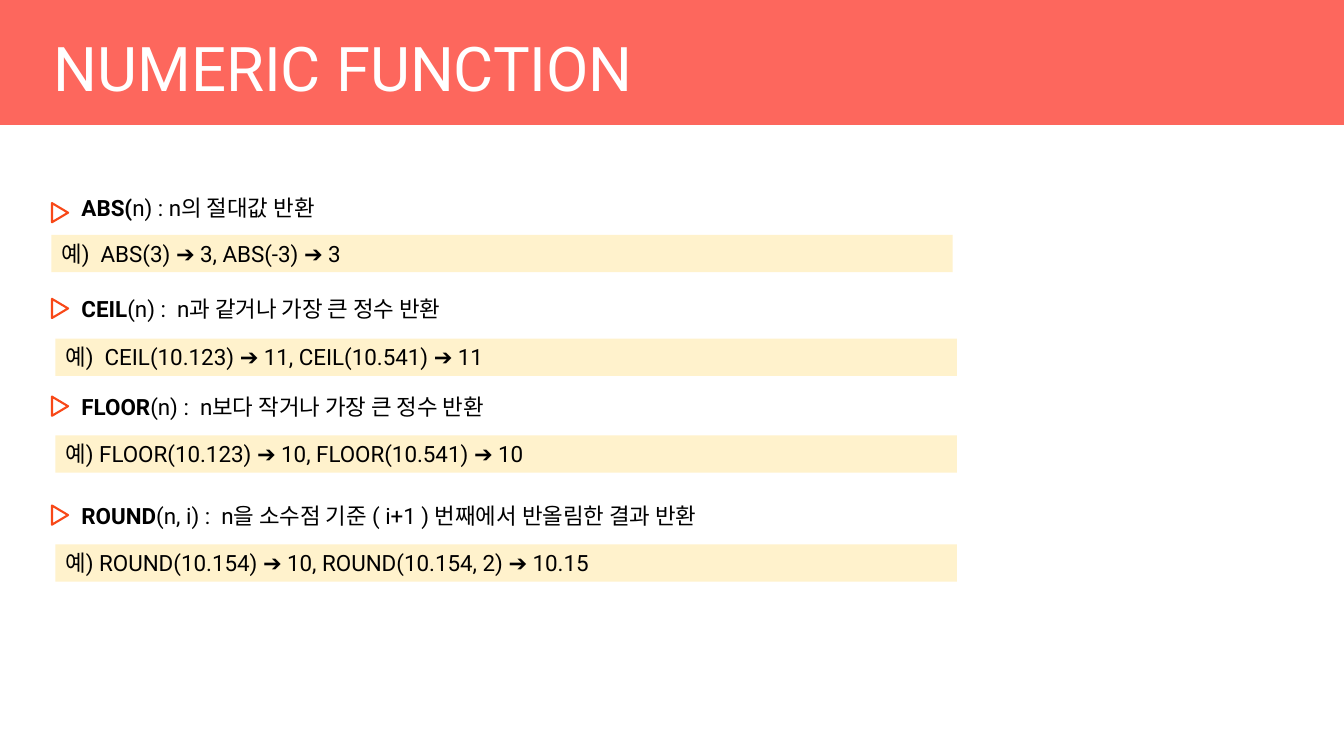
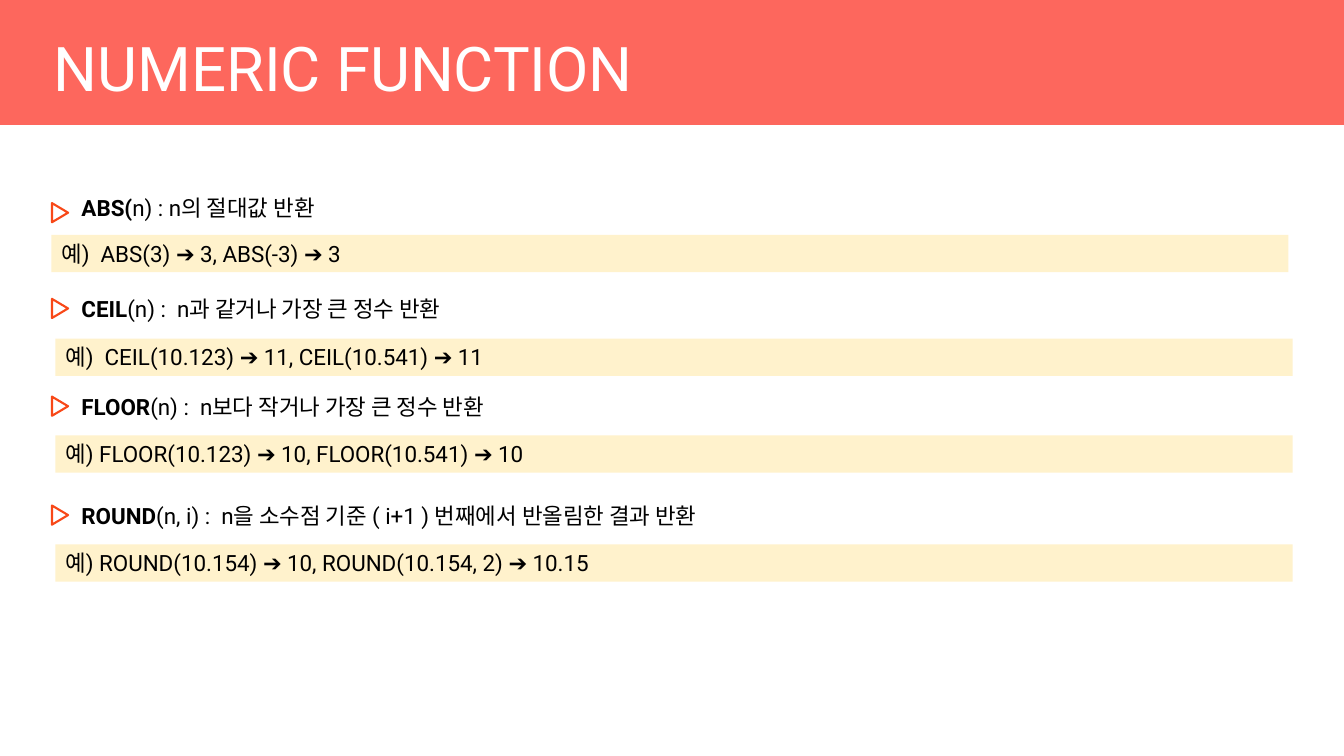
from collections import namedtuple
from dataclasses import dataclass

from pptx import Presentation
from pptx.dml.color import RGBColor as RGB
from pptx.enum.shapes import MSO_SHAPE as SHAPE
from pptx.enum.text import MSO_ANCHOR as ANCHOR, MSO_AUTO_SIZE as AUTO, PP_ALIGN as ALIGN
from pptx.util import Pt

PX = 9144
WIDTH, HEIGHT = 1333, 750


def px(*lengths):
    return [n * PX for n in lengths]


@dataclass(frozen=True)
class Theme:
    font: str = "Roboto"
    band: RGB = RGB.from_string("FD675D")
    example: RGB = RGB.from_string("FFF2CC")
    marker: RGB = RGB.from_string("F84818")
    white: RGB = RGB.from_string("FFFFFF")
    text: RGB = RGB.from_string("000000")
    title_size: int = 44
    body_size: int = 16
    marker_line: float = 1.5


Entry = namedtuple("Entry", "top marker_top bar_left bar_top name rest example")

ENTRIES = [
    Entry(188, 203, 51, 233, "ABS(", "n) : n의 절대값 반환",
          "예)  ABS(3) ➔ 3, ABS(-3) ➔ 3"),
    Entry(288, 298, 55, 336, "CEIL", "(n) :  n과 같거나 가장 큰 정수 반환",
          "예)  CEIL(10.123) ➔ 11, CEIL(10.541) ➔ 11"),
    Entry(385, 395, 55, 432, "FLOOR", "(n) :  n보다 작거나 가장 큰 정수 반환",
          "예) FLOOR(10.123) ➔ 10, FLOOR(10.541) ➔ 10"),
    Entry(493, 503, 55, 540, "ROUND",
          "(n, i) :  n을 소수점 기준 ( i+1 ) 번째에서 반올림한 결과 반환",
          "예) ROUND(10.154) ➔ 10, ROUND(10.154, 2) ➔ 10.15"),
]


class Deck:
    def __init__(self, theme):
        self.theme = theme
        self.prs = Presentation()
        self.prs.slide_width, self.prs.slide_height = px(WIDTH, HEIGHT)
        self.layout = self.prs.slide_layouts.get_by_name("Title Only")
        self.slide = None
        self.style_layout()

    def style_layout(self):
        title = self.layout.placeholders[0]
        title.left, title.top, title.width, title.height = px(43, 30, 1150, 78)
        title.text_frame.vertical_anchor = ANCHOR.BOTTOM
        title.text_frame.auto_size = AUTO.NONE

    def add_slide(self, title):
        first = self.slide is None
        self.slide = self.prs.slides.add_slide(self.layout)
        if first:
            band = self.shape(SHAPE.RECTANGLE, 0, 0, WIDTH, 124, self.theme.band)
            self.layout.shapes._spTree.insert(2, band._element)
        tf = self.slide.shapes.title.text_frame
        tf.text = title
        self.style(tf.paragraphs[0], self.theme.title_size, self.theme.white)

    def style(self, p, size, color):
        p.alignment = ALIGN.LEFT
        p.font.name = self.theme.font
        p.font.size = Pt(size)
        p.font.color.rgb = color

    def shape(self, kind, left, top, width, height, fill):
        sp = self.slide.shapes.add_shape(kind, *px(left, top, width, height))
        sp.shadow.inherit = False
        sp.fill.solid()
        sp.fill.fore_color.rgb = fill
        sp.line.fill.background()
        return sp

    def fill_text(self, tf, *parts):
        tf.word_wrap = True
        tf.vertical_anchor = ANCHOR.TOP
        tf.auto_size = AUTO.SHAPE_TO_FIT_TEXT
        p = tf.paragraphs[0]
        for text, bold in parts:
            r = p.add_run()
            r.text = text
            r.font.bold = bold
        self.style(p, self.theme.body_size, self.theme.text)

    def heading(self, top, name, rest):
        sp = self.slide.shapes.add_textbox(*px(71, top, 925, 37))
        self.fill_text(sp.text_frame, (name, True), (rest, False))

    def marker(self, top):
        sp = self.shape(SHAPE.FLOWCHART_EXTRACT, 50, top, 19, 16, self.theme.white)
        sp.rotation = 90
        sp.line.color.rgb = self.theme.marker
        sp.line.width = Pt(self.theme.marker_line)

    def example(self, left, top, width, text):
        sp = self.shape(SHAPE.RECTANGLE, left, top, width, 37, self.theme.example)
        self.fill_text(sp.text_frame, (text, False))


def main():
    deck = Deck(Theme())
    for bar_width in (894, 1227):
        deck.add_slide("NUMERIC FUNCTION")
        for e in ENTRIES:
            deck.heading(e.top, e.name, e.rest)
            deck.marker(e.marker_top)
            deck.example(e.bar_left, e.bar_top, bar_width, e.example)
    deck.prs.save("out.pptx")


if __name__ == "__main__":
    main()
